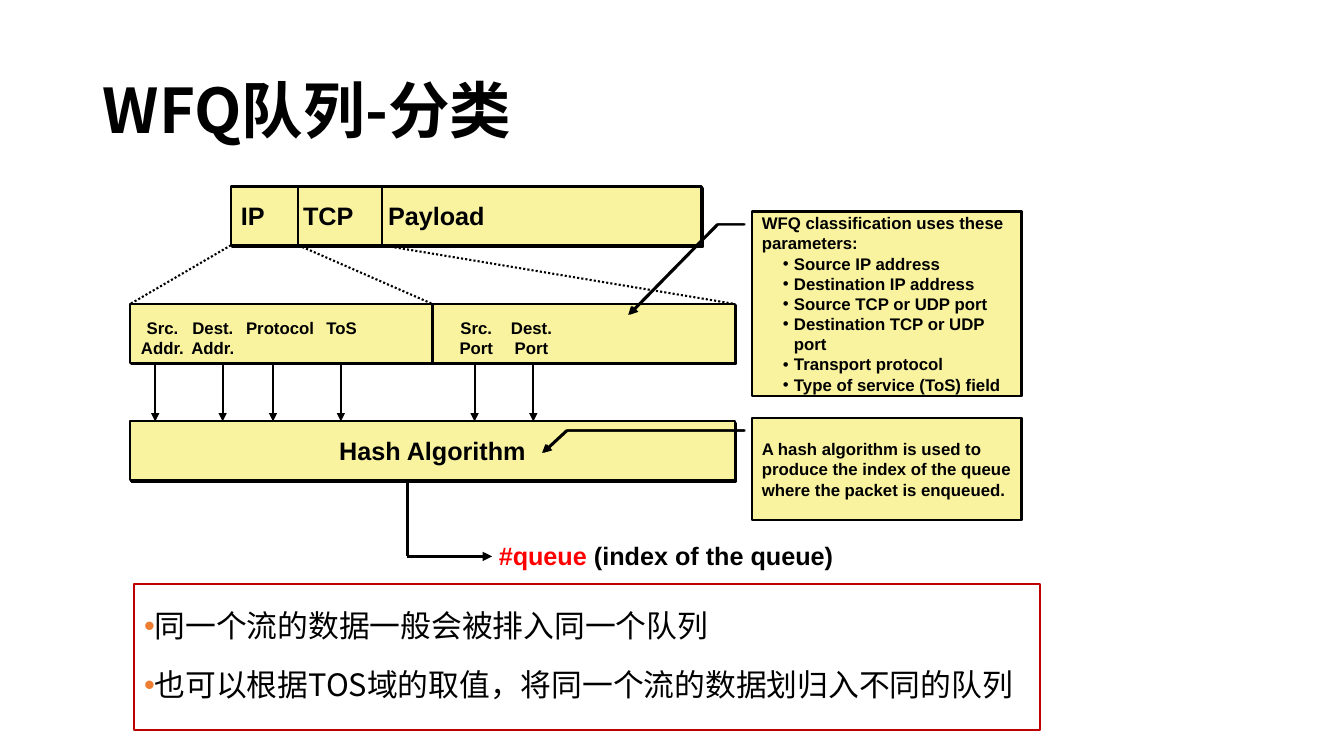
from dataclasses import dataclass, field

from lxml.etree import SubElement
from pptx import Presentation
from pptx.dml.color import RGBColor
from pptx.enum.dml import MSO_LINE
from pptx.enum.shapes import MSO_CONNECTOR as Link, MSO_SHAPE as Preset
from pptx.enum.text import MSO_ANCHOR as Anchor, PP_ALIGN as Align
from pptx.oxml.ns import qn
from pptx.util import Cm, Pt


@dataclass(frozen=True)
class Theme:
    ink: str = "000000"
    panel: str = "F9F39F"
    accent: str = "FF0000"
    frame: str = "C00000"
    bullet: str = "ED7D31"
    latin: str = "Arial"
    title_font: str = "Noto Sans CJK SC"
    body_font: str = "Noto Sans CJK JP"
    title: float = 44
    body: float = 22
    large: float = 18
    small: float = 12
    thin: float = 1.5
    thick: float = 2.25


THEME = Theme()


@dataclass(frozen=True)
class Area:
    left: float
    top: float
    width: float
    height: float

    def lengths(self) -> list:
        return [Cm(v) for v in (self.left, self.top, self.width, self.height)]


@dataclass(frozen=True)
class Style:
    size: float
    font: str = THEME.latin
    bold: bool = True


@dataclass(frozen=True)
class Para:
    spans: tuple  # (text, colour) pairs
    format: dict = field(default_factory=dict)
    bullet: str = ""  # bullet colour, empty for none
    margin: float = 0
    indent: float = 0
    tabs: tuple = ()


@dataclass(frozen=True)
class FieldLabel:
    lines: tuple
    left: float
    width: float
    arrow: float


@dataclass(frozen=True)
class Callout:
    area: Area
    leader: tuple
    paras: list


def plain(text: str, **options) -> Para:
    return Para(((text, THEME.ink),), **options)


def write(shape, paras: list, style: Style, wrap: bool = True,
          anchor=Anchor.TOP) -> None:
    frame = shape.text_frame
    frame.word_wrap, frame.vertical_anchor = wrap, anchor
    for number, item in enumerate(paras):
        para = frame.add_paragraph() if number else frame.paragraphs[0]
        for name, value in {"alignment": Align.LEFT, **item.format}.items():
            setattr(para, name, value)
        props = para._p.get_or_add_pPr()
        if item.bullet:
            props.set("marL", str(Cm(item.margin)))
            props.set("indent", str(Cm(item.indent)))
            colour = SubElement(props, qn("a:buClr"))
            SubElement(colour, qn("a:srgbClr"), val=item.bullet)
            SubElement(props, qn("a:buFont"), typeface=THEME.latin)
            SubElement(props, qn("a:buChar"), char="•")
        if item.tabs:
            stops = SubElement(props, qn("a:tabLst"))
            for stop in item.tabs:
                SubElement(stops, qn("a:tab"), pos=str(Cm(stop)), algn="l")
        for text, ink in item.spans:
            span = para.add_run()
            span.text = text
            values = {"size": Pt(style.size), "bold": style.bold, "name": style.font}
            for name, value in values.items():
                setattr(span.font, name, value)
            span.font.color.rgb = RGBColor.from_string(ink)
            SubElement(span._r.get_or_add_rPr(), qn("a:ea"), typeface=style.font)


def add_text(page, area: Area, paras: list, style: Style, **options) -> None:
    write(page.shapes.add_textbox(*area.lengths()), paras, style, **options)


def add_panel(page, area: Area, preset=Preset.FLOWCHART_PROCESS, fill: str = THEME.panel,
              line: str = THEME.ink, shadow: tuple = (1.4, 45)):
    box = page.shapes.add_shape(preset, *area.lengths())
    if fill:
        box.fill.solid()
        box.fill.fore_color.rgb = RGBColor.from_string(fill)
    else:
        box.fill.background()
    box.line.color.rgb = RGBColor.from_string(line)
    box.line.width = Pt(THEME.thin)
    box.shadow.inherit = False
    if shadow:
        distance, angle = shadow
        effects = box._element.spPr.find(qn("a:effectLst"))
        cast = SubElement(effects, qn("a:outerShdw"), blurRad="0", dist=str(Pt(distance)),
                          dir=str(angle * 60000), algn="ctr", rotWithShape="0")
        SubElement(cast, qn("a:srgbClr"), val=THEME.ink)
    return box


def add_arrowhead(shape) -> None:
    SubElement(shape.line._get_or_add_ln(), qn("a:tailEnd"), type="triangle")


def add_line(page, start: tuple, end: tuple, width: float = THEME.thin,
             dotted: bool = False, arrow: bool = False) -> None:
    line = page.shapes.add_connector(Link.STRAIGHT, *(Cm(v) for v in start + end))
    line.line.color.rgb = RGBColor.from_string(THEME.ink)
    line.line.width = Pt(width)
    if dotted:
        line.line.dash_style = MSO_LINE.ROUND_DOT
    if arrow:
        add_arrowhead(line)
    SubElement(line._element.spPr, qn("a:effectLst"))


# Three bands at an equal pitch
BAND, PITCH = 1.48, 2.96
PACKET_TOP, FIELDS_TOP, HASH_TOP = (4.7 + PITCH * row for row in range(3))
LEFT, WIDE = 3.28, 15.24
PACKET_LEFT, TCP_LEFT, PAYLOAD_LEFT, PORTS_LEFT = 5.82, 7.52, 9.63, 10.9
LARGE, SMALL = Style(THEME.large), Style(THEME.small)
CENTRED = {"alignment": Align.CENTER}

FIELDS = [
    FieldLabel(("Src.", "Addr."), 3.28, 1.63, 3.91),
    FieldLabel(("Dest.", "Addr."), 4.55, 1.63, 5.61),
    FieldLabel(("Protocol",), 5.94, 2.24, 6.88),
    FieldLabel(("ToS",), 7.95, 1.32, 8.59),
    FieldLabel(("Src.", "Port"), 11.33, 1.35, 11.96),
    FieldLabel(("Dest.", "Port"), 12.62, 1.55, 13.44),
]
PARAMETERS = ["Source IP address", "Destination IP address", "Source TCP or UDP port",
              "Destination TCP or UDP port", "Transport protocol",
              "Type of service (ToS) field"]
CALLOUTS = [
    Callout(Area(18.95, 5.33, 6.78, 4.65), (0.07, -0.03, 0.07, -0.13, 0.56, -0.46),
            [plain("WFQ classification uses these parameters:")]
            + [plain(text, bullet=THEME.ink, margin=0.81, indent=-0.28)
               for text in PARAMETERS]),
    Callout(Area(18.95, 10.54, 6.78, 2.57), (0.12, -0.03, 0.12, -0.69, 0.34, -0.78),
            [plain("A hash algorithm is used to produce the index of the queue "
                   "where the packet is enqueued.")]),
]
SUMMARY = ["同一个流的数据一般会被排入同一个队列",
           "也可以根据TOS域的取值，将同一个流的数据划归入不同的队列"]


def main() -> None:
    deck = Presentation()
    deck.slide_width, deck.slide_height = Cm(33.87), Cm(19.05)
    page = deck.slides.add_slide(deck.slide_layouts[6])

    # Title
    add_text(page, Area(2.34, 1.02, 29.21, 3.68),
             [plain("WFQ队列-分类", format={"line_spacing": 0.9})],
             Style(THEME.title, THEME.title_font), anchor=Anchor.MIDDLE)

    # Packet, header fields and hash bands
    packet = add_panel(page, Area(PACKET_LEFT, PACKET_TOP, 11.86, BAND))
    write(packet, [plain("IP\tTCP\tPayload", tabs=(1.57, 3.71))], LARGE,
          wrap=False, anchor=Anchor.MIDDLE)
    add_panel(page, Area(LEFT, FIELDS_TOP, WIDE, BAND))
    hashing = add_panel(page, Area(LEFT, HASH_TOP, WIDE, BAND))
    write(hashing, [plain("Hash Algorithm", format=CENTRED)], LARGE,
          wrap=False, anchor=Anchor.MIDDLE)

    # Dividers and dotted zoom lines
    for x, top in ((TCP_LEFT, PACKET_TOP), (PAYLOAD_LEFT, PACKET_TOP),
                   (PORTS_LEFT, FIELDS_TOP)):
        add_line(page, (x, top), (x, top + BAND))
    for upper, lower in ((PACKET_LEFT, LEFT), (TCP_LEFT, PORTS_LEFT),
                         (PAYLOAD_LEFT, LEFT + WIDE)):
        add_line(page, (upper, PACKET_TOP + BAND), (lower, FIELDS_TOP), dotted=True)

    # Field labels with arrows into the hash
    for label in FIELDS:
        height = 0.25 + 0.51 * len(label.lines)
        add_text(page, Area(label.left, 7.87, label.width, height),
                 [plain(line, format=CENTRED) for line in label.lines], SMALL, wrap=False)
        add_line(page, (label.arrow, FIELDS_TOP + BAND), (label.arrow, HASH_TOP), arrow=True)

    # Resulting queue index
    corner = (10.26, 14.02)
    add_line(page, (corner[0], HASH_TOP + BAND), corner, THEME.thick)
    add_line(page, corner, (12.4, corner[1]), THEME.thick, arrow=True)
    result = Para((("#queue", THEME.accent), (" (index of the queue)", THEME.ink)))
    add_text(page, Area(12.32, 13.49, 8.94, 1.02), [result], LARGE, wrap=False)

    # Callouts
    for note in CALLOUTS:
        box = add_panel(page, note.area, Preset.LINE_CALLOUT_2, shadow=(1, 0))
        for number, value in enumerate(note.leader):
            box.adjustments[number] = value
        add_arrowhead(box)
        write(box, note.paras, SMALL, anchor=Anchor.MIDDLE)

    # Summary
    summary = add_panel(page, Area(3.38, 14.71, 22.83, 3.68), Preset.RECTANGLE,
                        fill="", line=THEME.frame, shadow=())
    spacing = {"line_spacing": 1.5, "space_before": Pt(2.5)}
    write(summary, [plain(text, format=spacing, bullet=THEME.bullet, indent=-0.64)
                    for text in SUMMARY], Style(THEME.body, THEME.body_font, bold=False))

    deck.save("out.pptx")


if __name__ == "__main__":
    main()
